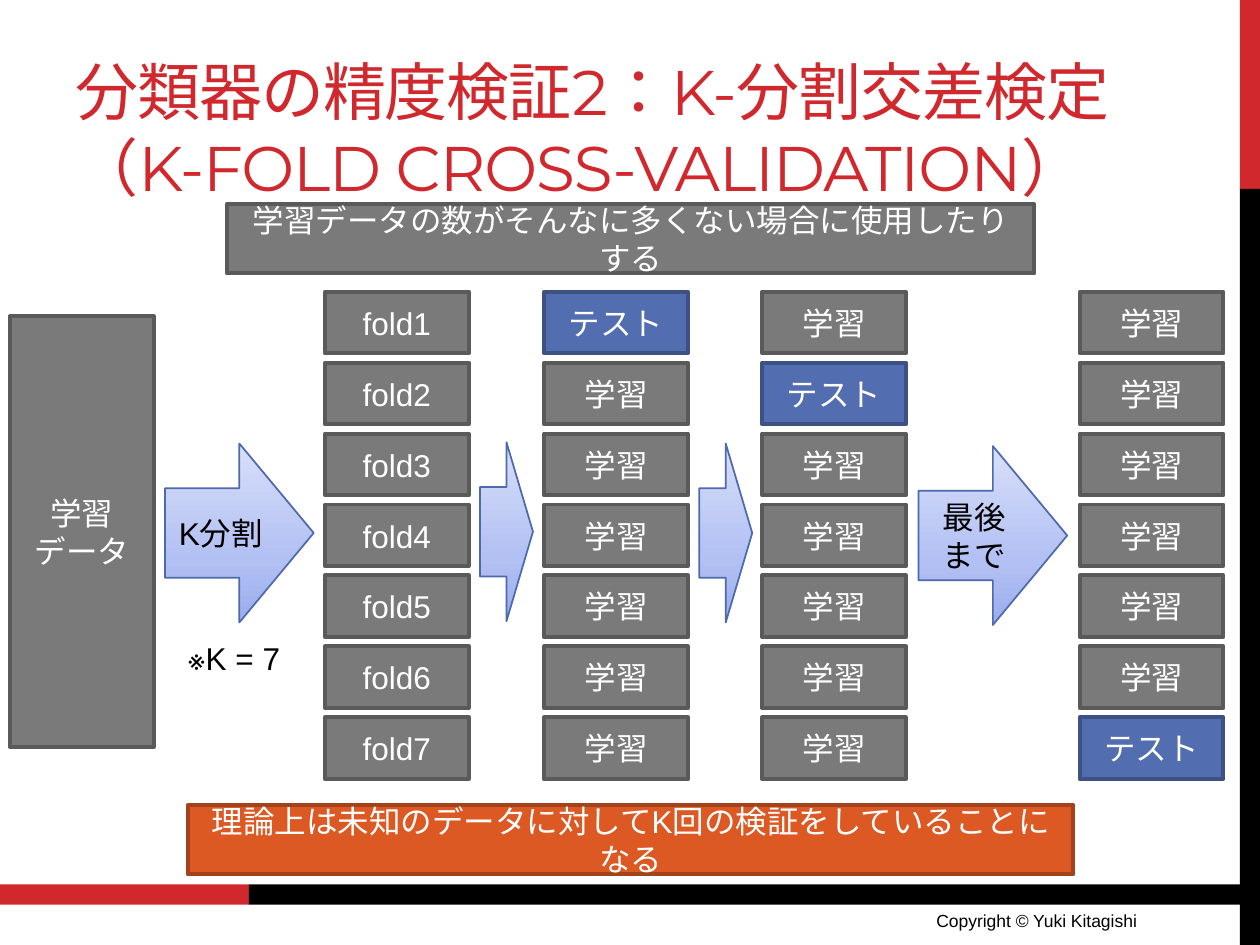
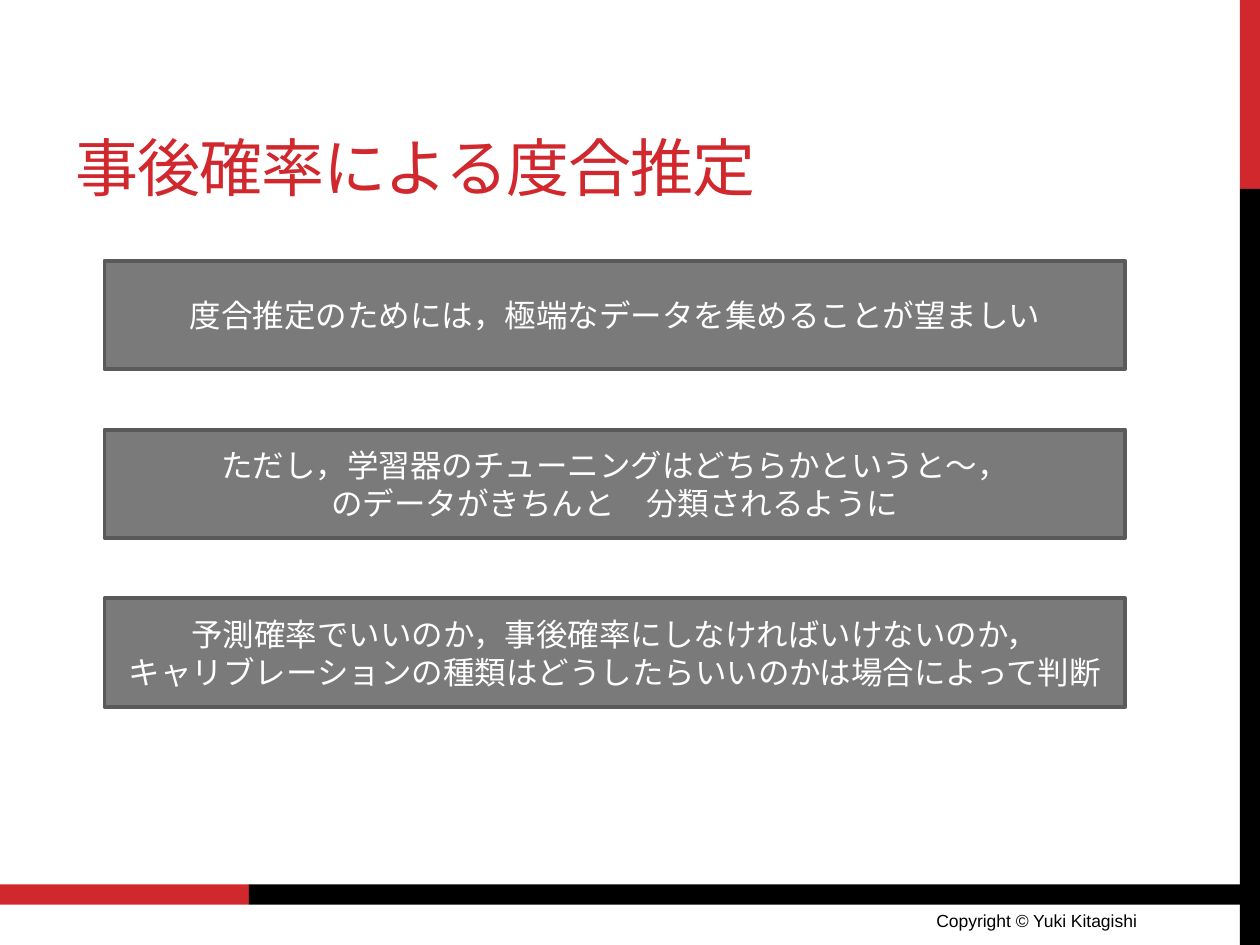
"""Build two slides on K-fold cross-validation and posterior-based estimation."""
from copy import deepcopy
from dataclasses import dataclass
from typing import NamedTuple

from pptx import Presentation
from pptx.dml.color import RGBColor
from pptx.enum.lang import MSO_LANGUAGE_ID
from pptx.enum.shapes import MSO_SHAPE
from pptx.enum.text import MSO_ANCHOR, PP_ALIGN
from pptx.oxml.ns import qn
from pptx.shapes.autoshape import Shape
from pptx.slide import Slide
from pptx.util import Inches, Pt

RECTANGLE, RIGHT_ARROW = MSO_SHAPE.RECTANGLE, MSO_SHAPE.RIGHT_ARROW
TOP, MIDDLE, BOTTOM = MSO_ANCHOR.TOP, MSO_ANCHOR.MIDDLE, MSO_ANCHOR.BOTTOM
LEFT, CENTER, RIGHT = PP_ALIGN.LEFT, PP_ALIGN.CENTER, PP_ALIGN.RIGHT
JAPANESE = MSO_LANGUAGE_ID.JAPANESE

SLIDE_WIDTH, SLIDE_HEIGHT = Inches(10), Inches(7.5)
COLUMN, ROW = SLIDE_WIDTH / 100, SLIDE_HEIGHT / 75

WHITE = RGBColor(0xFF, 0xFF, 0xFF)
BLACK = RGBColor(0x00, 0x00, 0x00)
RED = RGBColor(0xD1, 0x28, 0x2E)
GRAY = RGBColor(0x7A, 0x7A, 0x7A)
DARK_GRAY = RGBColor(0x5A, 0x5A, 0x5A)
BLUE = RGBColor(0x52, 0x6D, 0xB0)
DARK_BLUE = RGBColor(0x3D, 0x51, 0x82)
ORANGE = RGBColor(0xDC, 0x59, 0x24)
DARK_ORANGE = RGBColor(0xA3, 0x42, 0x1B)
ARROW_EDGE = RGBColor(0x4E, 0x6A, 0xAE)
ARROW_SHADES = (
    (0, RGBColor(0x9A, 0xAC, 0xED)),
    (0.35, RGBColor(0xB2, 0xC0, 0xF3)),
    (1, RGBColor(0xD8, 0xDF, 0xF9)),
)


class Area(NamedTuple):
    """Place and size in grid columns and rows."""
    column: float
    row: float
    columns: float
    rows: float

    def lengths(self) -> tuple[int, ...]:
        """Convert the grid units to slide lengths."""
        units = (COLUMN, ROW, COLUMN, ROW)
        return tuple(round(value * unit) for value, unit in zip(self, units))


@dataclass(frozen=True)
class TextStyle:
    """Look and placement of a text."""
    size: float = 18
    color: RGBColor = WHITE
    font: str = "Arial"
    align: PP_ALIGN = CENTER
    anchor: MSO_ANCHOR = MIDDLE
    spacing: int = 0


class Paint(NamedTuple):
    """Fill and edge of a panel."""
    fill: RGBColor
    edge: RGBColor


class Band(NamedTuple):
    """Plain strip along the slide's edge."""
    area: Area
    color: RGBColor


class Panel(NamedTuple):
    """Bordered box with a list of paragraphs."""
    area: Area
    paragraphs: list[str]
    paint: Paint


class Step(NamedTuple):
    """Arrow that leads to the next stage."""
    area: Area
    label: str


NEUTRAL = Paint(GRAY, DARK_GRAY)
TEST = Paint(BLUE, DARK_BLUE)
CONCLUSION = Paint(ORANGE, DARK_ORANGE)

PANEL_TEXT = TextStyle()
STEP_TEXT = TextStyle(color=BLACK)
NOTE_TEXT = TextStyle(color=BLACK, anchor=TOP)
TITLE_TEXT = TextStyle(36, RED, "Montserrat", LEFT, BOTTOM, -60)
FOOTER_TEXT = TextStyle(10, BLACK, align=RIGHT, anchor=TOP)

BANDS = (
    Band(Area(98.4, 0, 1.6, 15), RED),
    Band(Area(98.4, 15, 1.6, 60), BLACK),
    Band(Area(0, 70.2, 19.75, 1.6), RED),
    Band(Area(19.75, 70.2, 78.95, 1.6), BLACK),
)
FOOTER = Area(53.7, 71.7, 37.5, 3.1)

FOLD_COUNT = 7
FOLD_TOP, FOLD_PITCH = 23.15, 5.63
FOLD_WIDTH, FOLD_HEIGHT = 11.4, 4.9
FOLD_NAMES_COLUMN = 25.8
TEST_FOLD_BY_COLUMN = {43.2: 0, 60.5: 1, 85.7: FOLD_COUNT - 1}

STEPS = (
    Step(Area(13.1, 35.2, 11.8, 14.2), "K分割"),
    Step(Area(38.1, 35.1, 4.2, 14.2), ""),
    Step(Area(55.5, 35.2, 4.2, 14.2), ""),
    Step(Area(72.9, 35.4, 11.8, 14.2), "最後まで"),
)

ESTIMATION_POINTS = (
    ["度合推定のためには，極端なデータを集めることが望ましい"],
    ["ただし，学習器のチューニングはどちらかというと～，",
     "のデータがきちんと　分類されるように"],
    ["予測確率でいいのか，事後確率にしなければいけないのか，",
     "キャリブレーションの種類はどうしたらいいのかは場合によって判断"],
)
POINT_TOP, POINT_PITCH = 20.7, 13.4


def write(shape: Shape, paragraphs: list[str], style: TextStyle) -> None:
    """Fill a shape with paragraphs, breaking lines at newlines."""
    frame = shape.text_frame
    frame.word_wrap = True
    frame.vertical_anchor = style.anchor
    for index, content in enumerate(paragraphs):
        paragraph = frame.add_paragraph() if index else frame.paragraphs[0]
        paragraph.alignment = style.align
        for number, line in enumerate(content.split("\n")):
            if number:
                paragraph.add_line_break()
            run = paragraph.add_run()
            run.text = line
            run.font.size = Pt(style.size)
            run.font.name = style.font
            run.font.color.rgb = style.color
            run.font.language_id = JAPANESE
            if style.spacing:
                run.font._element.set("spc", str(style.spacing))


def add_text(slide: Slide, area: Area, content: str, style: TextStyle) -> None:
    """Place a text without a frame."""
    write(slide.shapes.add_textbox(*area.lengths()), [content], style)


def draw_band(slide: Slide, band: Band) -> None:
    """Draw a strip without an edge."""
    strip = slide.shapes.add_shape(RECTANGLE, *band.area.lengths())
    strip.shadow.inherit = False
    strip.fill.solid()
    strip.fill.fore_color.rgb = band.color
    strip.line.fill.background()


def draw_panel(slide: Slide, panel: Panel) -> None:
    """Draw a bordered box with centred text."""
    box = slide.shapes.add_shape(RECTANGLE, *panel.area.lengths())
    box.shadow.inherit = False
    box.fill.solid()
    box.fill.fore_color.rgb = panel.paint.fill
    box.line.color.rgb = panel.paint.edge
    box.line.width = Pt(2.25)
    write(box, panel.paragraphs, PANEL_TEXT)


def draw_step(slide: Slide, step: Step) -> None:
    """Draw a shaded arrow with its label, if any."""
    arrow = slide.shapes.add_shape(RIGHT_ARROW, *step.area.lengths())
    arrow.shadow.inherit = False
    arrow.line.color.rgb = ARROW_EDGE
    arrow.line.width = Pt(1)
    arrow.fill.gradient()
    arrow.fill.gradient_angle = 90
    stop_list = arrow._element.spPr.find(qn("a:gradFill")).find(qn("a:gsLst"))
    stop_list.append(deepcopy(stop_list[-1]))
    for stop, (position, shade) in zip(arrow.fill.gradient_stops, ARROW_SHADES):
        stop.position = position
        stop.color.rgb = shade
    if step.label:
        write(arrow, [step.label], STEP_TEXT)


def start_slide(deck: Presentation, title: str, title_columns: float) -> Slide:
    """Add a blank slide with the shared bands, title and footer."""
    slide = deck.slides.add_slide(deck.slide_layouts[6])
    for band in BANDS:
        draw_band(slide, band)
    add_text(slide, Area(5, 1.7, title_columns, 15), title, TITLE_TEXT)
    add_text(slide, FOOTER, "Copyright © Yuki Kitagishi", FOOTER_TEXT)
    return slide


def draw_fold(slide: Slide, column: float, fold: int, label: str, paint: Paint) -> None:
    """Draw one fold at its place in a stack."""
    area = Area(column, FOLD_TOP + fold * FOLD_PITCH, FOLD_WIDTH, FOLD_HEIGHT)
    draw_panel(slide, Panel(area, [label], paint))


def build_cross_validation(deck: Presentation) -> None:
    """Show how each fold in turn becomes the test set."""
    title = "分類器の精度検証2：K-分割交差検定\n（K-FOLD CROSS-VALIDATION）"
    slide = start_slide(deck, title, 93.3)
    usage = ["学習データの数がそんなに多くない場合に使用したりする"]
    draw_panel(slide, Panel(Area(18, 16.2, 64.1, 5.5), usage, NEUTRAL))
    training_data = Area(0.8, 25.1, FOLD_WIDTH, 34.2)
    draw_panel(slide, Panel(training_data, ["学習", "データ"], NEUTRAL))
    for fold in range(FOLD_COUNT):
        draw_fold(slide, FOLD_NAMES_COLUMN, fold, f"fold{fold + 1}", NEUTRAL)
        for column, test_fold in TEST_FOLD_BY_COLUMN.items():
            label, paint = ("テスト", TEST) if fold == test_fold else ("学習", NEUTRAL)
            draw_fold(slide, column, fold, label, paint)
    for step in STEPS:
        draw_step(slide, step)
    add_text(slide, Area(13.1, 50.2, 10.9, 4), f"※K = {FOLD_COUNT}", NOTE_TEXT)
    outcome = ["理論上は未知のデータに対してK回の検証をしていることになる"]
    draw_panel(slide, Panel(Area(14.9, 63.9, 70.3, 5.5), outcome, CONCLUSION))


def build_estimation(deck: Presentation) -> None:
    """List the points on estimating degrees."""
    slide = start_slide(deck, "事後確率による度合推定", 63.3)
    for index, point in enumerate(ESTIMATION_POINTS):
        area = Area(8.3, POINT_TOP + index * POINT_PITCH, 81, 8.6)
        draw_panel(slide, Panel(area, point, NEUTRAL))


def main() -> None:
    """Build and save the deck."""
    deck = Presentation()
    deck.slide_width, deck.slide_height = SLIDE_WIDTH, SLIDE_HEIGHT
    build_cross_validation(deck)
    build_estimation(deck)
    deck.save("out.pptx")


if __name__ == "__main__":
    main()
